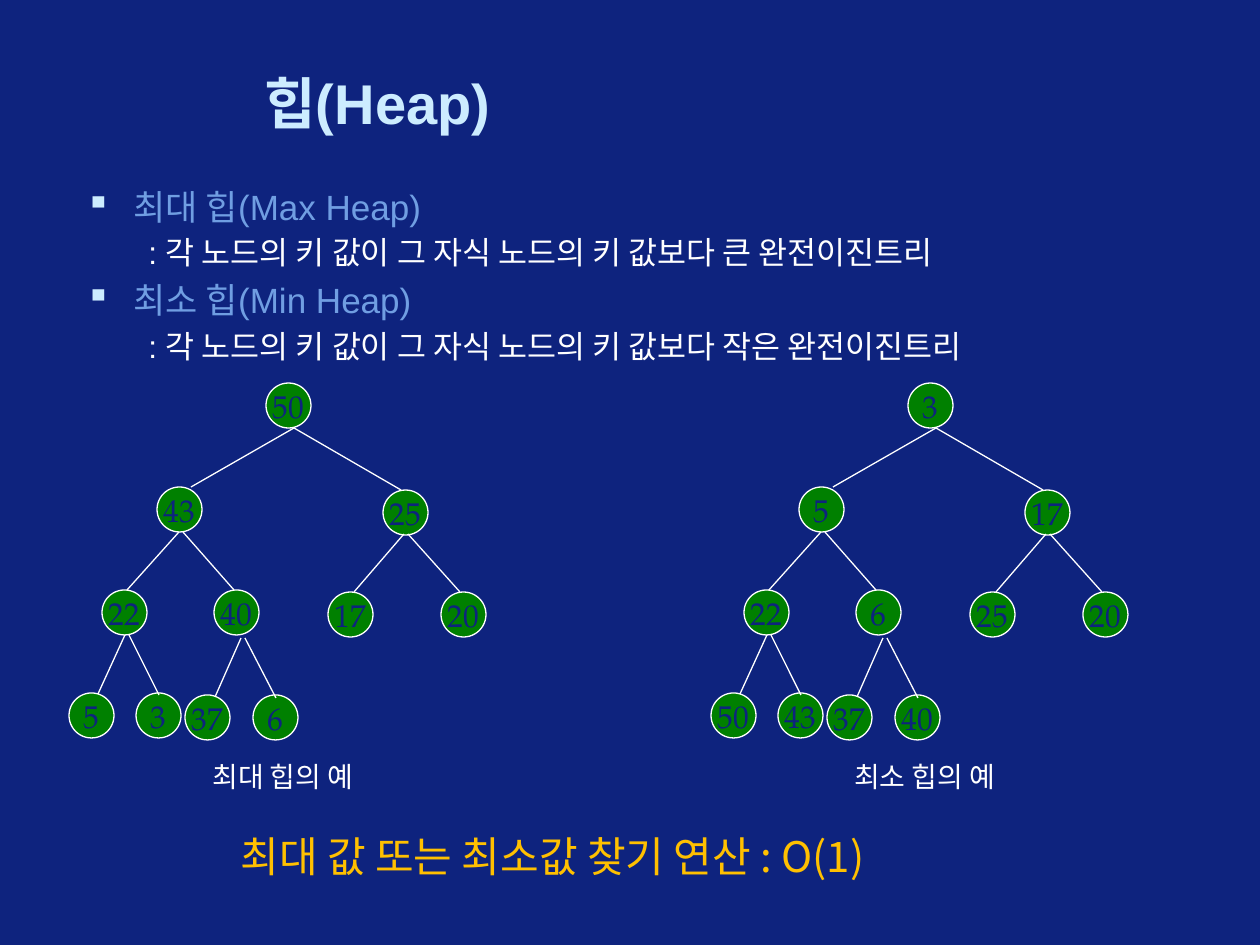
from dataclasses import dataclass
from lxml import etree
from pptx import Presentation
from pptx.dml.color import RGBColor
from pptx.enum.shapes import MSO_CONNECTOR, MSO_SHAPE
from pptx.enum.text import MSO_ANCHOR, PP_ALIGN
from pptx.oxml.ns import qn
from pptx.util import Emu, Pt

OVAL = MSO_SHAPE.OVAL
LINE = MSO_CONNECTOR.STRAIGHT
MIDDLE, TOP = MSO_ANCHOR.MIDDLE, MSO_ANCHOR.TOP
CENTER, LEFT = PP_ALIGN.CENTER, PP_ALIGN.LEFT
PX = 914400 // 126


@dataclass(frozen=True)
class Theme:
    bg: str = "0E237E"
    title: str = "CCECFF"
    term: str = "709EE2"
    white: str = "FFFFFF"
    node: str = "008000"
    accent: str = "FFC000"
    sans: str = "Arial"
    korean: str = "Noto Sans CJK KR"
    serif: str = "TeX Gyre Pagella"
    title_size: int = 32
    term_size: int = 20
    text_size: int = 18
    caption_size: int = 16
    result_size: int = 24
    line: float = 0.75


T = Theme()
NODE = 45
NODES = [(197, 0), (88, 104), (314, 107), (33, 207), (145, 207), (259, 209),
         (372, 209), (0, 310), (67, 310), (116, 312), (184, 312)]
EDGES = [(225, 45, 122, 104), (225, 45, 332, 107),
         (110, 149, 58, 207), (114, 149, 165, 207),
         (335, 151, 285, 209), (339, 151, 391, 209),
         (56, 252, 29, 311), (60, 252, 90, 312),
         (172, 255, 146, 314), (176, 255, 207, 315)]


def px(*values):
    return [Emu(v * PX) for v in values]


def rgb(color):
    return RGBColor.from_string(color)


def write(p, text, size, color, font=T.sans, bold=False, align=LEFT):
    p.alignment = align
    r = p.add_run()
    r.text = text
    r.font.size = Pt(size)
    r.font.bold = bold
    r.font.name = font
    r.font.color.rgb = rgb(color)
    ea = etree.SubElement(r.font._element, qn("a:ea"))
    ea.set("typeface", T.korean)


def text_box(s, box, wrap=True, anchor=TOP):
    tf = s.shapes.add_textbox(*px(*box)).text_frame
    tf.word_wrap = wrap
    tf.vertical_anchor = anchor
    return tf


def add_title(s, box, text):
    tf = text_box(s, box, anchor=MIDDLE)
    write(tf.paragraphs[0], text, T.title_size, T.title, bold=True)


def indent(p, left, first=0, bullet=None):
    pPr = p._p.get_or_add_pPr()
    pPr.set("marL", str(left * PX))
    pPr.set("indent", str(first * PX))
    if bullet:
        clr = etree.SubElement(pPr, qn("a:buClr"))
        etree.SubElement(clr, qn("a:srgbClr")).set("val", T.title)
        etree.SubElement(pPr, qn("a:buChar")).set("char", bullet)


def add_definitions(s, box, definitions):
    tf = text_box(s, box)
    p = tf.paragraphs[0]
    for i, (term, meaning) in enumerate(definitions):
        if i:
            p = tf.add_paragraph()
        p.space_before = Pt(T.term_size * 0.2)
        indent(p, 48, -48, "▪")
        write(p, term, T.term_size, T.term)
        p = tf.add_paragraph()
        p.level = 1
        p.space_before = Pt(T.text_size * 0.2)
        indent(p, 63)
        write(p, meaning, T.text_size, T.white)


def add_edge(s, x1, y1, x2, y2):
    c = s.shapes.add_connector(LINE, *px(x1, y1, x2, y2))
    c.line.color.rgb = rgb(T.white)
    c.line.width = Pt(T.line)
    etree.SubElement(c._element.spPr, qn("a:effectLst"))


def add_node(s, x, y, key):
    sp = s.shapes.add_shape(OVAL, *px(x, y, NODE, NODE))
    sp.shadow.inherit = False
    sp.fill.solid()
    sp.fill.fore_color.rgb = rgb(T.node)
    sp.line.color.rgb = rgb(T.white)
    sp.line.width = Pt(T.line)
    tf = sp.text_frame
    tf.word_wrap = False
    tf.vertical_anchor = MIDDLE
    write(tf.paragraphs[0], str(key), T.text_size, T.bg, T.serif, align=CENTER)


def add_heap(s, left, top, keys, caption):
    for (x, y), key in zip(NODES, keys):
        add_node(s, left + x, top + y, key)
    for x1, y1, x2, y2 in EDGES:
        add_edge(s, left + x1, top + y1, left + x2, top + y2)
    tf = text_box(s, (left + 131, top + 370, 185, 47), wrap=False)
    write(tf.paragraphs[0], caption, T.caption_size, T.white, T.korean)


def add_result(s, box, text):
    tf = text_box(s, box, wrap=False)
    write(tf.paragraphs[0], text, T.result_size, T.accent, T.korean)


prs = Presentation()
prs.slide_width, prs.slide_height = px(1260, 945)
s = prs.slides.add_slide(prs.slide_layouts[6])
s.background.fill.solid()
s.background.fill.fore_color.rgb = rgb(T.bg)

add_title(s, (252, 63, 955, 78), "힙(Heap)")
add_definitions(s, (73, 179, 1144, 234), [
    ("최대 힙(Max Heap)", ": 각 노드의 키 값이 그 자식 노드의 키 값보다 큰 완전이진트리"),
    ("최소 힙(Min Heap)", ": 각 노드의 키 값이 그 자식 노드의 키 값보다 작은 완전이진트리"),
])
add_heap(s, 69, 383, [50, 43, 25, 22, 40, 17, 20, 5, 3, 37, 6], "최대 힙의 예")
add_heap(s, 711, 383, [3, 5, 17, 22, 6, 25, 20, 50, 43, 37, 40], "최소 힙의 예")
add_result(s, (228, 824, 736, 63), "최대 값 또는 최소값 찾기 연산 : O(1)")

prs.save("out.pptx")
